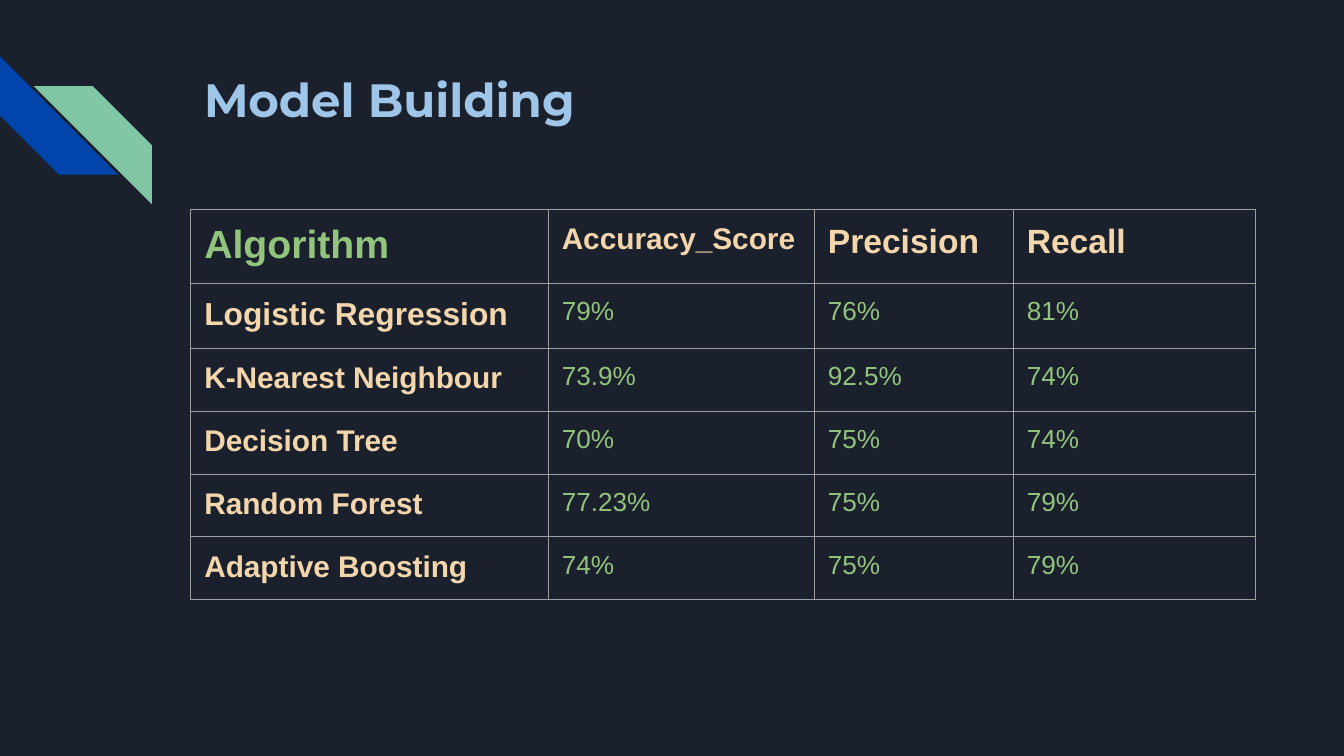
"""Build the Model Building slide: a heading, corner stripes and a score table."""
import lxml.etree
import pptx
import pptx.dml.color
import pptx.enum.shapes
import pptx.oxml.ns
import pptx.util

THEME = {
    "background": "1B212C", "blue": "0145AC", "mint": "82C7A5",
    "title": "9FC5E8", "sand": "F4D6AD", "green": "93C47D", "border": "9E9E9E",
    "title_font": "Montserrat", "table_font": "Arial",
    "title_size": 25, "corner_size": 21, "header_size": 18, "first_label_size": 17,
    "label_size": 16, "score_size": 14, "border_width": 0.75,
}
SCORES = [
    ["Algorithm", "Accuracy_Score", "Precision", "Recall"],
    ["Logistic Regression", "79%", "76%", "81%"],
    ["K-Nearest Neighbour", "73.9%", "92.5%", "74%"],
    ["Decision Tree", "70%", "75%", "74%"],
    ["Random Forest", "77.23%", "75%", "79%"],
    ["Adaptive Boosting", "74%", "75%", "79%"],
]
COLUMN_SPANS = [26.6, 19.8, 14.8, 18]
ROW_SPAN = 4.2
CONTENT_LEFT = 14.2
STRIPE_SPAN = 8.8


def color(role):
    return pptx.dml.color.RGBColor.from_string(THEME[role])


def write(holder, text, family, size, role, bold):
    frame = holder.text_frame
    inset = frame if frame is heading.text_frame else holder
    paragraph = frame.paragraphs[0]
    paragraph.text = text
    paragraph.font.name = THEME[family]
    paragraph.font.size = pptx.util.Pt(THEME[size])
    paragraph.font.color.rgb = color(role)
    paragraph.font.bold = bold


deck = pptx.Presentation()
deck.slide_width = pptx.util.Inches(10)
deck.slide_height = deck.slide_width * 9 // 16
grid = deck.slide_width // 100
slide = deck.slides.add_slide(deck.slide_layouts[6])
slide.background.fill.solid()
slide.background.fill.fore_color.rgb = color("background")

for left, top, rotation, role in [(0, 4.2, 270, "blue"), (2.5, 6.4, 90, "mint")]:
    stripe = slide.shapes.add_shape(
        pptx.enum.shapes.MSO_SHAPE.DIAGONAL_STRIPE,
        *[int(span * grid) for span in (left, top, STRIPE_SPAN, STRIPE_SPAN)])
    stripe.rotation = rotation
    stripe.shadow.inherit = False
    stripe.fill.solid()
    stripe.fill.fore_color.rgb = color(role)
    stripe.line.fill.background()

heading = slide.shapes.add_textbox(
    *[int(span * grid) for span in (CONTENT_LEFT, 4.3, 77, 6.9)])
heading.text_frame.word_wrap = True
heading.text_frame.margin_top = heading.text_frame.margin_bottom = grid
heading.text_frame.margin_left = heading.text_frame.margin_right = grid
write(heading, "Model Building", "title_font", "title_size", "title", True)

scoreboard = slide.shapes.add_table(
    len(SCORES), len(COLUMN_SPANS),
    *[int(span * grid) for span in
      (CONTENT_LEFT, 15.6, sum(COLUMN_SPANS), ROW_SPAN * len(SCORES))]).table
scoreboard.first_row = scoreboard.horz_banding = False
for column, span in zip(scoreboard.columns, COLUMN_SPANS):
    column.width = int(span * grid)

for row_index, row in enumerate(SCORES):
    scoreboard.rows[row_index].height = int(ROW_SPAN * grid)
    for column_index, text in enumerate(row):
        cell = scoreboard.cell(row_index, column_index)
        is_header, is_label = row_index == 0, column_index == 0
        if is_header and is_label:
            size, role = "corner_size", "green"
        elif is_header:
            size, role = "label_size" if column_index == 1 else "header_size", "sand"
        elif is_label:
            size, role = "first_label_size" if row_index == 1 else "label_size", "sand"
        else:
            size, role = "score_size", "green"
        cell.margin_left = cell.margin_right = grid
        cell.margin_top = cell.margin_bottom = grid
        write(cell, text, "table_font", size, role, is_header or is_label)

        properties = cell._tc.get_or_add_tcPr()
        for edge in ("a:lnL", "a:lnR", "a:lnT", "a:lnB"):
            border = lxml.etree.SubElement(
                properties, pptx.oxml.ns.qn(edge),
                w=str(pptx.util.Pt(THEME["border_width"])))
            paint = lxml.etree.SubElement(border, pptx.oxml.ns.qn("a:solidFill"))
            lxml.etree.SubElement(paint, pptx.oxml.ns.qn("a:srgbClr"), val=THEME["border"])
        cell.fill.background()

deck.save("out.pptx")
